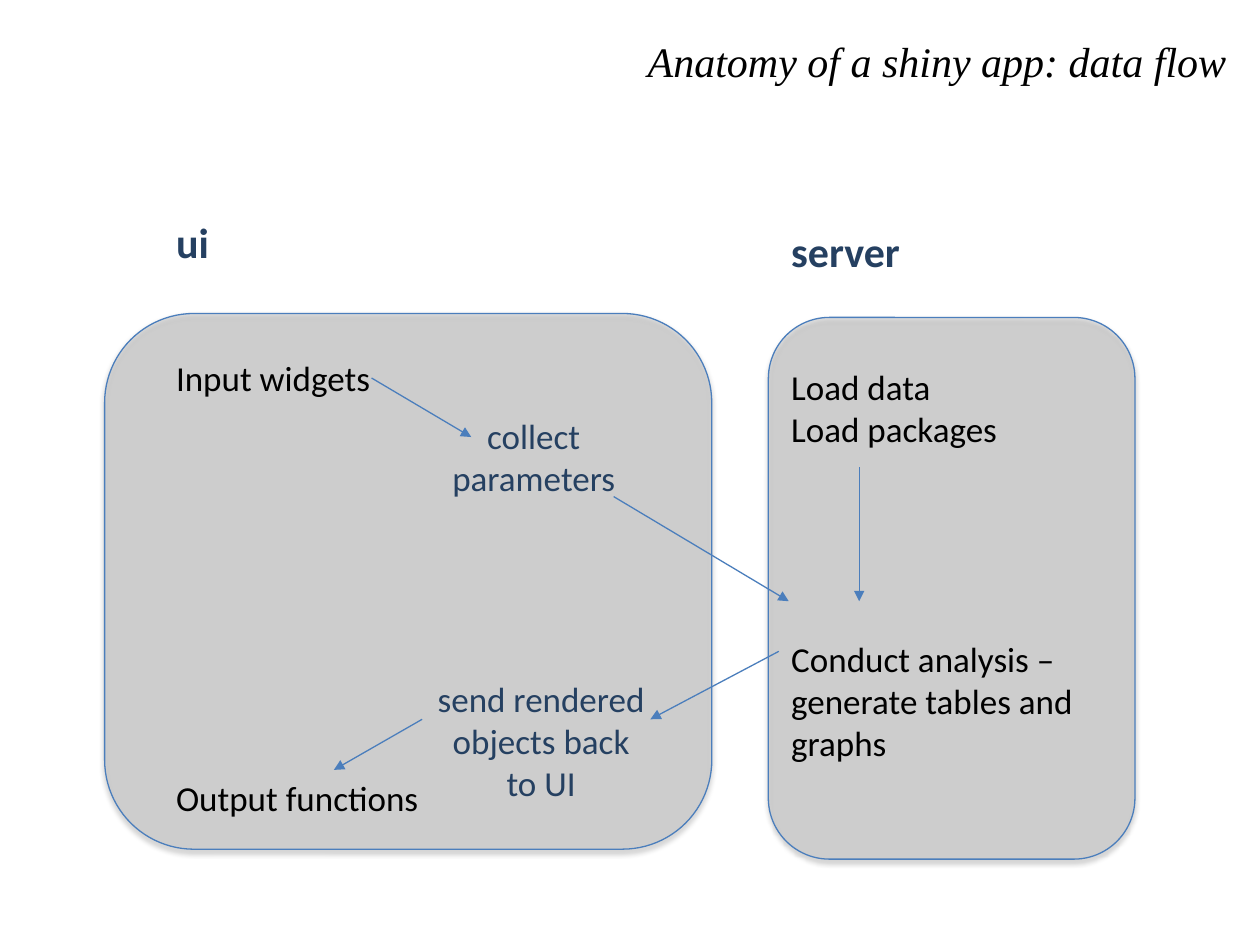
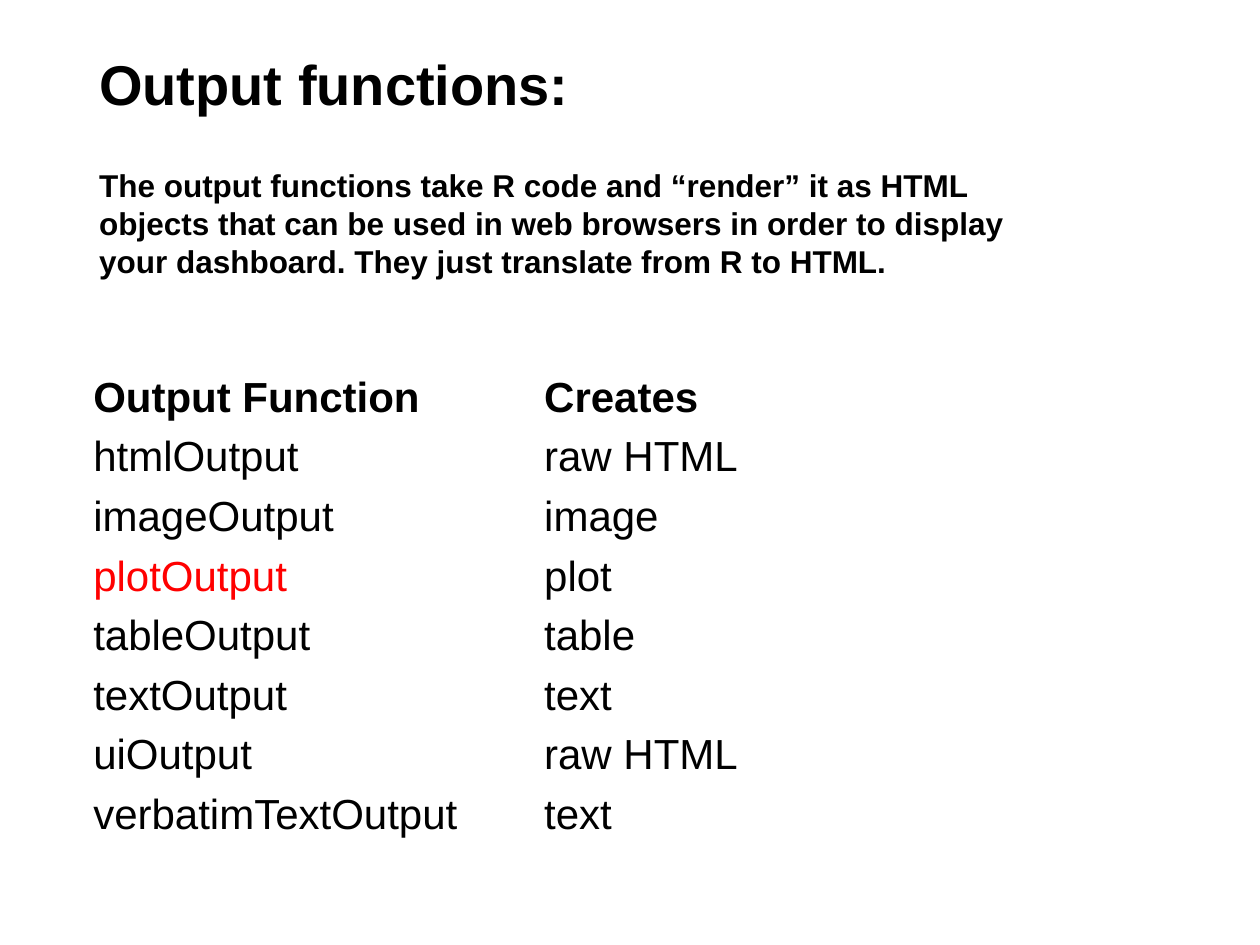
import pptx
import pptx.util
import pptx.dml.color
import pptx.enum.shapes
import pptx.enum.text
import pptx.oxml
import pptx.oxml.ns
from pptx.util import Cm

COLORS = {
    "paper": "FFFFFF",
    "ink": "000000",
    "navy": "254061",
    "outline": "4B7EBC",
    "panel": "BFBFBF",
    "highlight": "FF0000",
}
ALIGN = pptx.enum.text.PP_ALIGN
ANCHOR = pptx.enum.text.MSO_ANCHOR
LINE_WIDTH = pptx.util.Pt(0.75)


def color(name):
    return pptx.dml.color.RGBColor.from_string(COLORS[name])


def element(tag, **attributes):
    node = pptx.oxml.parse_xml(f"<a:{tag} {pptx.oxml.ns.nsdecls('a')}/>")
    for name, value in attributes.items():
        node.set(name, str(value))
    return node


class SlideBuilder:
    def __init__(self):
        self.deck = pptx.Presentation()
        self.deck.slide_width, self.deck.slide_height = Cm(25.4), Cm(19.05)
        self.page = None

    def new_page(self):
        self.page = self.deck.slides.add_slide(self.deck.slide_layouts[6])

    def style(self, para, size, font="Arial", tint="ink", bold=False, italic=False):
        for span in para.runs:
            span.font.name = font
            span.font.size = pptx.util.Pt(size)
            span.font.bold = bold
            span.font.italic = italic
            span.font.color.rgb = color(tint)

    def text(self, at, lines, size, align=ALIGN.LEFT, anchor=ANCHOR.TOP, spacing=None, **look):
        box = self.page.shapes.add_textbox(*map(Cm, at))
        frame = box.text_frame
        frame.word_wrap = True
        frame.vertical_anchor = anchor
        frame.text = "\n".join(lines)
        for para in frame.paragraphs:
            para.alignment = align
            para.line_spacing = spacing
            self.style(para, size, **look)
        return frame.paragraphs

    def column(self, at, heading, items):
        paras = self.text(at, [heading] + [label for label, gap in items], 20, font="Calibri")
        self.style(paras[0], 24, "Calibri", "navy", bold=True)
        for para, (label, gap) in zip(paras[1:], items):
            para.space_before = pptx.util.Pt(gap)

    def panel(self, *at):
        kind = pptx.enum.shapes.MSO_SHAPE.ROUNDED_RECTANGLE
        shape = self.page.shapes.add_shape(kind, *map(Cm, at))
        shape.fill.solid()
        shape.fill.fore_color.rgb = color("panel")
        fill = shape.element.spPr.find(pptx.oxml.ns.qn("a:solidFill"))
        fill[0].append(element("alpha", val=43000))
        shape.line.color.rgb = color("outline")
        shape.line.width = LINE_WIDTH
        shape.shadow.inherit = False
        shadow = element("outerShdw", blurRad=pptx.util.Pt(3.1), dist=pptx.util.Pt(1.8),
                         dir=5400000, rotWithShape=0)
        tint = element("srgbClr", val=COLORS["ink"])
        tint.append(element("alpha", val=35000))
        shadow.append(tint)
        shape.element.spPr.find(pptx.oxml.ns.qn("a:effectLst")).append(shadow)

    def arrow(self, *ends):
        kind = pptx.enum.shapes.MSO_CONNECTOR.STRAIGHT
        line = self.page.shapes.add_connector(kind, *map(Cm, ends))
        line.line.color.rgb = color("outline")
        line.line.width = LINE_WIDTH
        properties = line.element.spPr
        properties.find(pptx.oxml.ns.qn("a:ln")).append(element("tailEnd", type="triangle"))
        properties.append(element("effectLst"))

    def table(self, left, top, widths, row_height, rows, highlighted):
        frame = self.page.shapes.add_table(
            len(rows), len(widths), Cm(left), Cm(top), Cm(sum(widths)), Cm(row_height * len(rows)))
        table = frame.table
        table.first_row = table.horz_banding = False
        for column, width in zip(table.columns, widths):
            column.width = Cm(width)
        for row_index, row in enumerate(rows):
            for column_index, label in enumerate(row):
                cell = table.cell(row_index, column_index)
                cell.fill.solid()
                cell.fill.fore_color.rgb = color("paper")
                cell.vertical_anchor = ANCHOR.MIDDLE
                cell.margin_left = cell.margin_right = Cm(0.18)
                cell.margin_top = cell.margin_bottom = Cm(0.11)
                cell.text = label
                tint = "highlight" if label == highlighted else "ink"
                self.style(cell.text_frame.paragraphs[0], 24, tint=tint, bold=row_index == 0)


def data_flow(builder):
    builder.new_page()
    builder.panel(2.11, 6.32, 12.24, 10.8)
    builder.panel(15.49, 6.4, 7.39, 10.92)
    builder.column((3.3, 4.24, 6.35, 12.47), "ui",
                   [("Input widgets", 51), ("Output functions", 216)])
    builder.column((15.7, 4.42, 6.35, 7.87), "server",
                   [("Load data", 51), ("Load packages", 0)])
    step = {"size": 20, "font": "Calibri"}
    transfer = {**step, "align": ALIGN.CENTER, "tint": "navy"}
    builder.text((8.36, 8.23, 4.8, 1.96), ["collect", "parameters"], **transfer)
    builder.text((8.51, 13.54, 4.8, 2.82), ["send rendered\vobjects back to UI"], **transfer)
    builder.text((15.7, 12.73, 7.01, 2.82),
                 ["Conduct analysis –\vgenerate tables and graphs"], **step)
    for ends in (
        (17.32, 9.42, 17.32, 12.12),
        (7.49, 7.62, 9.5, 8.81),
        (12.37, 10.01, 15.9, 12.12),
        (15.7, 13.13, 13.11, 14.5),
        (8.51, 14.5, 6.73, 15.52),
    ):
        builder.arrow(*ends)
    builder.text((0.64, 0.43, 24.33, 1.57), ["Anatomy of a shiny app: data flow"], 24,
                 align=ALIGN.RIGHT, anchor=ANCHOR.MIDDLE, font="Times New Roman", italic=True)


def output_functions(builder):
    builder.new_page()
    rows = [
        ("Output Function", "Creates"),
        ("htmlOutput", "raw HTML"),
        ("imageOutput", "image"),
        ("plotOutput", "plot"),
        ("tableOutput", "table"),
        ("textOutput", "text"),
        ("uiOutput", "raw HTML"),
        ("verbatimTextOutput", "text"),
    ]
    builder.table(1.7, 7.42, (9.09, 12.8), 1.2, rows, "plotOutput")
    builder.text((1.75, 1.02, 21.89, 3.68), ["Output functions:"], 32, spacing=0.9, bold=True)
    builder.text((1.75, 3.23, 20.17, 2.57), [
        "The output functions take R code and “render” it as HTML objects that can be used "
        "in web browsers in order to display your dashboard. "
        "They just translate from R to HTML."
    ], 18, bold=True)


def main():
    builder = SlideBuilder()
    data_flow(builder)
    output_functions(builder)
    builder.deck.save("out.pptx")


if __name__ == "__main__":
    main()
